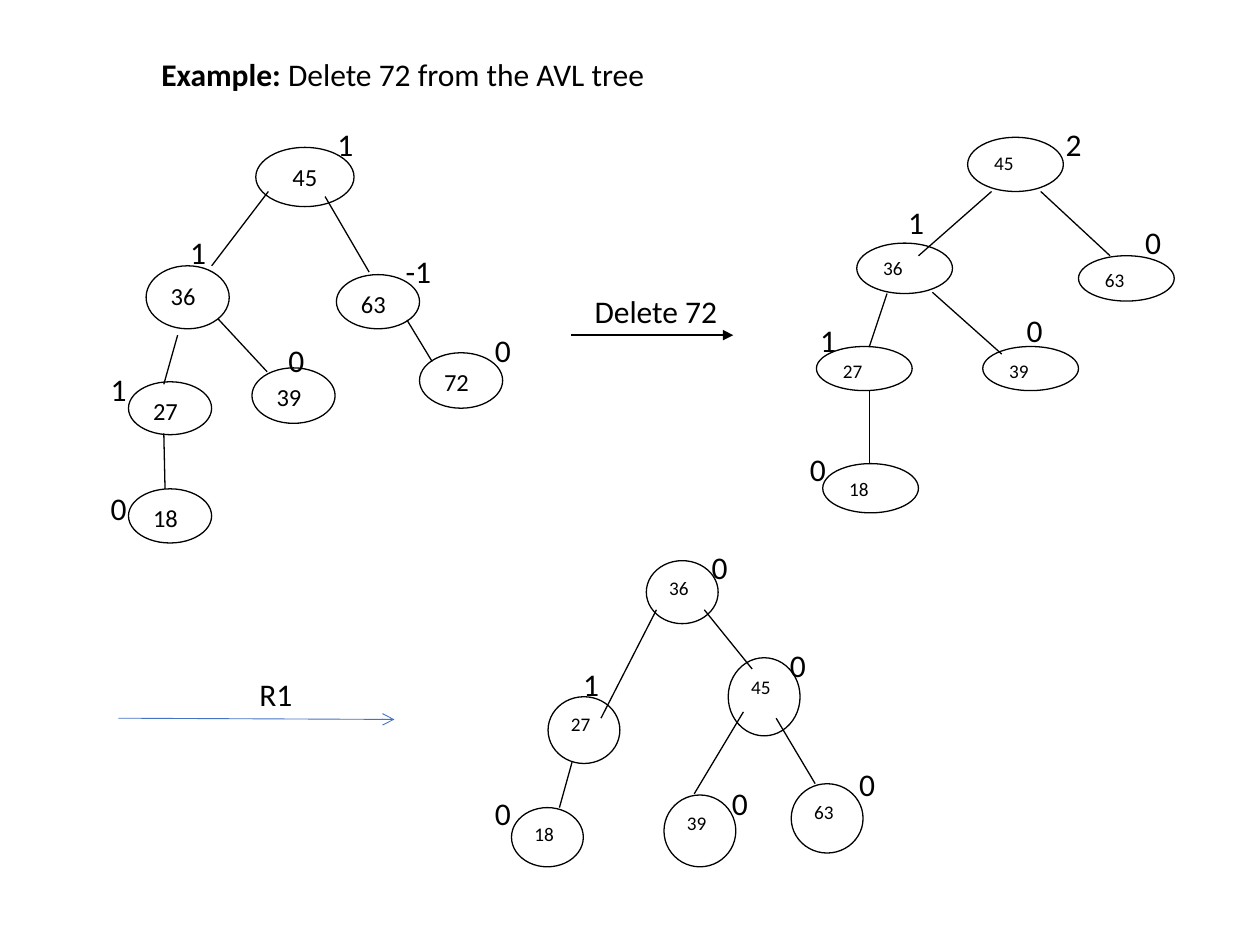
from lxml import etree
from pptx import Presentation
from pptx.dml.color import RGBColor
from pptx.enum.shapes import MSO_CONNECTOR as CONN, MSO_SHAPE as SHAPE
from pptx.enum.text import MSO_ANCHOR as ANCHOR, MSO_AUTO_SIZE as AUTO, PP_ALIGN as ALIGN
from pptx.oxml.ns import qn
from pptx.util import Inches, Pt

BLACK, WHITE, BLUE = "000000", "FFFFFF", "4472C4"
FONT = "Calibri"
LABEL_SIZE, LABEL_HEIGHT = 18, 0.4

TITLE = [("Example: ", True), ("Delete 72 from the AVL tree", False)]
TITLE_BOX = (1.18, 0.39, 4.06, LABEL_HEIGHT)

# Node: key, left, top, width, height, balance factor, its left and top.
TREES = [
    {
        "size": 14,
        "nodes": [
            ("45", 2.03, 1.17, 0.78, 0.47, "1", 2.58, 0.94),
            ("36", 1.16, 2.11, 0.66, 0.5, "1", 1.41, 1.8),
            ("63", 2.67, 2.18, 0.66, 0.43, "-1", 3.12, 1.95),
            ("27", 1.02, 3.03, 0.66, 0.42, "1", 0.78, 2.89),
            ("39", 2, 2.92, 0.66, 0.44, "0", 2.19, 2.66),
            ("72", 3.33, 2.8, 0.66, 0.44, "0", 3.83, 2.58),
            ("18", 1.02, 3.88, 0.66, 0.43, "0", 0.78, 3.83),
        ],
        "edges": [
            (2.13, 1.52, 1.68, 2.11),
            (1.41, 2.66, 1.3, 3.05),
            (1.3, 3.44, 1.31, 3.88),
            (1.73, 2.53, 2.12, 2.95),
            (2.58, 1.56, 2.93, 2.16),
            (3.23, 2.54, 3.43, 2.87),
        ],
    },
    {
        "size": 11,
        "nodes": [
            ("45", 7.68, 1.09, 0.76, 0.43, "2", 8.36, 0.94),
            ("36", 6.8, 1.93, 0.76, 0.4, "1", 7.11, 1.56),
            ("63", 8.56, 2.03, 0.76, 0.36, "0", 8.99, 1.72),
            ("27", 6.48, 2.75, 0.76, 0.35, "1", 6.41, 2.5),
            ("39", 7.8, 2.75, 0.76, 0.35, "0", 8.05, 2.42),
            ("18", 6.53, 3.68, 0.76, 0.39, "0", 6.33, 3.52),
        ],
        "edges": [
            (6.9, 3.1, 6.9, 3.68),
            (7.04, 2.33, 6.9, 2.75),
            (7.87, 1.52, 7.29, 2.03),
            (7.4, 2.32, 7.95, 2.81),
            (8.26, 1.52, 8.81, 2.03),
        ],
    },
    {
        "size": 11,
        "nodes": [
            ("27", 4.35, 5.53, 0.57, 0.53, "1", 4.53, 5.23),
            ("39", 5.27, 6.31, 0.57, 0.57, "0", 5.71, 6.17),
            ("63", 6.28, 6.22, 0.57, 0.55, "0", 6.72, 6.02),
            ("36", 5.13, 4.45, 0.57, 0.5, "0", 5.55, 4.3),
            ("45", 5.78, 5.22, 0.57, 0.62, "0", 6.17, 5.08),
            ("18", 4.06, 6.41, 0.57, 0.47, "0", 3.83, 6.25),
        ],
        "edges": [
            (4.54, 6.05, 4.44, 6.41),
            (5.21, 4.84, 4.77, 5.7),
            (5.59, 4.84, 5.97, 5.31),
            (6.16, 5.7, 6.47, 6.22),
            (5.9, 5.65, 5.51, 6.3),
        ],
    },
]
STEPS = [
    ("Delete 72", (4.62, 2.27, 1.18), (4.53, 2.66, 5.82, 2.66), BLACK, 0.75, "triangle"),
    ("R1", (1.96, 5.31, 0.46), (0.94, 5.7, 3.13, 5.71), BLUE, 0.5, "arrow"),
]
LABEL_WIDTHS = {1: 0.32, 2: 0.41}


def color(value):
    return RGBColor.from_string(value)


def inches(values):
    return [Inches(v) for v in values]


def write(sp, runs, size, align=ALIGN.LEFT, wrap=False):
    tf = sp.text_frame
    tf.auto_size = AUTO.NONE
    tf.word_wrap = wrap
    tf.vertical_anchor = ANCHOR.TOP
    p = tf.paragraphs[0]
    p.alignment = align
    p.line_spacing = 1.0
    for text, bold in runs:
        r = p.add_run()
        r.text = text
        r.font.name = FONT
        r.font.size = Pt(size)
        r.font.bold = bold
        r.font.color.rgb = color(BLACK)


def add_line(shapes, ends, value=BLACK, width=0.75, tail=None):
    sp = shapes.add_connector(CONN.STRAIGHT, *inches(ends))
    sp.line.color.rgb = color(value)
    sp.line.width = Pt(width)
    if tail:
        etree.SubElement(sp.line._get_or_add_ln(), qn("a:tailEnd"), type=tail)
    etree.SubElement(sp._element.spPr, qn("a:effectLst"))


def add_label(shapes, text, left, top, width):
    sp = shapes.add_textbox(*inches((left, top, width, LABEL_HEIGHT)))
    write(sp, [(text, False)], LABEL_SIZE)


def add_node(shapes, key, box, size, align):
    sp = shapes.add_shape(SHAPE.OVAL, *inches(box))
    sp.shadow.inherit = False
    sp.fill.solid()
    sp.fill.fore_color.rgb = color(WHITE)
    sp.line.color.rgb = color(BLACK)
    sp.line.width = Pt(0.75)
    write(sp, [(key, False)], size, align, wrap=True)


def add_tree(s, tree):
    group = s.shapes.add_group_shape().shapes
    for key, *box, _, _, _ in tree["nodes"]:
        align = ALIGN.CENTER if box[2] > 0.77 else ALIGN.LEFT
        add_node(group, key, box, tree["size"], align)
    for ends in tree["edges"]:
        add_line(group, ends)
    for *_, balance, left, top in tree["nodes"]:
        add_label(s.shapes, balance, left, top, LABEL_WIDTHS[len(balance)])


def main():
    prs = Presentation()
    prs.slide_width, prs.slide_height = inches((10, 7.5))
    s = prs.slides.add_slide(prs.slide_layouts[5])
    title = s.shapes.title
    title.left, title.top, title.width, title.height = inches(TITLE_BOX)
    write(title, TITLE, LABEL_SIZE)
    for tree in TREES:
        add_tree(s, tree)
    for text, place, ends, value, width, tail in STEPS:
        add_line(s.shapes, ends, value, width, tail)
        add_label(s.shapes, text, *place)
    prs.save("out.pptx")


if __name__ == "__main__":
    main()
